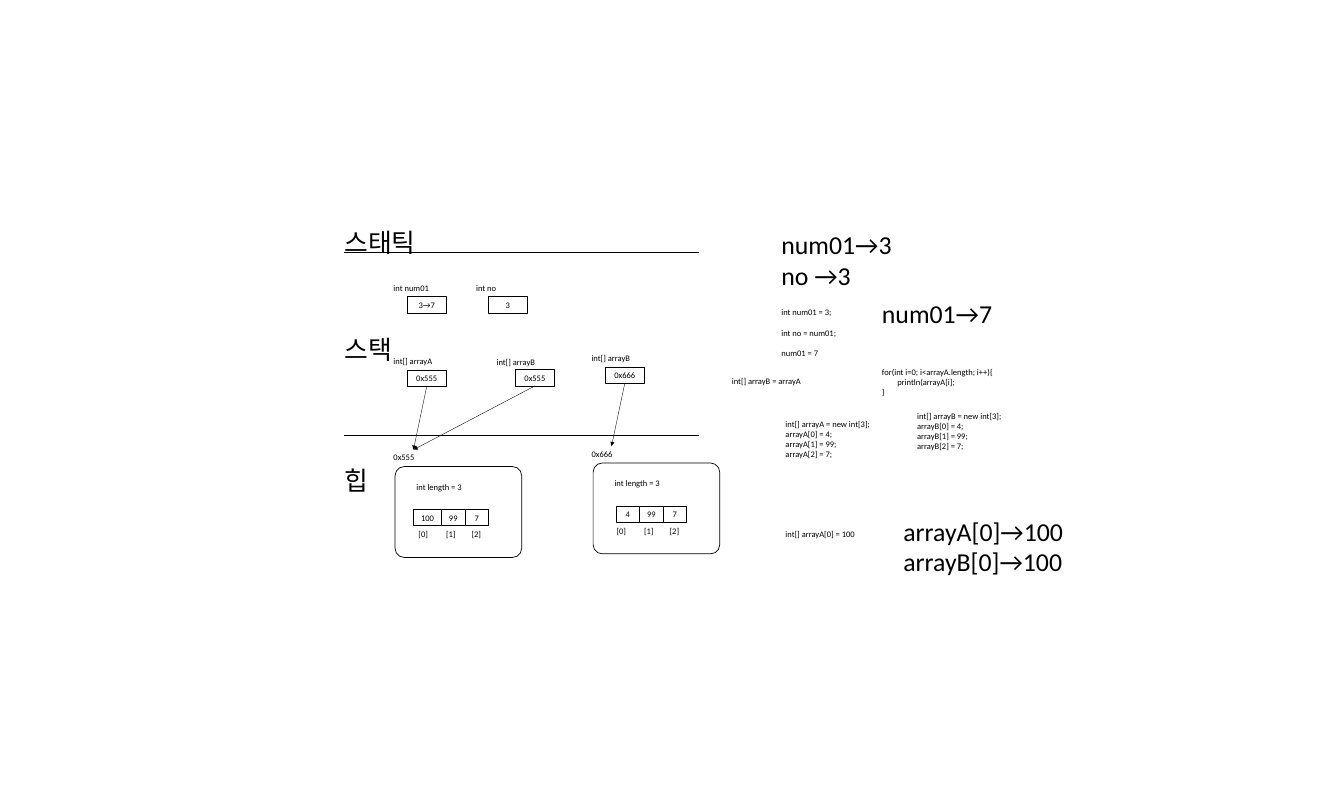
from dataclasses import dataclass

from pptx import Presentation
from pptx import util as u
from pptx.dml.color import RGBColor
from pptx.enum import shapes, text
from pptx.oxml.xmlchemy import OxmlElement

COLS, ROWS = 263.3, 157.7
CELL = u.Inches(0.1)


@dataclass(frozen=True)
class Theme:
    ink: RGBColor = RGBColor(0, 0, 0)
    font: str = "Calibri"
    code: float = 12
    large: float = 36.4
    thin: float = 0.5
    edge: float = 1


THEME = Theme()


def grid(*cells):
    return [u.Emu(round(c * CELL)) for c in cells]


def apply(target, formats):
    for name, value in formats.items():
        setattr(target, name, value)


def write(sp, lines, size, align=text.PP_ALIGN.LEFT, after=0, **frame):
    tf = sp.text_frame
    apply(tf, frame)
    for i, line in enumerate(lines):
        p = tf.paragraphs[0] if i == 0 else tf.add_paragraph()
        apply(p, {"alignment": align, "space_after": u.Pt(after)})
        r = p.add_run()
        r.text = line
        apply(r.font, {"name": THEME.font, "size": u.Pt(size)})
        r.font.color.rgb = THEME.ink
    return sp


def code(s, x, y, w, *lines, after=0):
    sp = s.shapes.add_textbox(*grid(x, y, w, 3))
    return write(sp, lines, THEME.code, after=after, word_wrap=True,
                 auto_size=text.MSO_AUTO_SIZE.SHAPE_TO_FIT_TEXT)


def large(sp, x, y, w, *lines):
    apply(sp, dict(zip(("left", "top", "width", "height"),
                       grid(x, y, w, 7.1 * len(lines)))))
    return write(sp, lines, THEME.large, word_wrap=False,
                 vertical_anchor=text.MSO_ANCHOR.TOP,
                 auto_size=text.MSO_AUTO_SIZE.SHAPE_TO_FIT_TEXT)


def large_box(s, x, y, w, *lines):
    return large(s.shapes.add_textbox(*grid(x, y, w, 7.1)), x, y, w, *lines)


def outline(s, kind, x, y, w, h):
    sp = s.shapes.add_shape(kind, *grid(x, y, w, h))
    sp.shadow.inherit = False
    sp.fill.background()
    sp.line.color.rgb = THEME.ink
    sp.line.width = u.Pt(THEME.edge)
    return sp


def value_box(s, x, y, w, value):
    sp = outline(s, shapes.MSO_SHAPE.RECTANGLE, x, y, w, 3.2)
    return write(sp, [value], THEME.code, text.PP_ALIGN.CENTER,
                 vertical_anchor=text.MSO_ANCHOR.MIDDLE)


def variable(s, x, y, w, name, value, dx=3.7, dy=3.2):
    code(s, x, y, w, name)
    return value_box(s, x + dx, y + dy, 7.6, value)


def line(s, x1=0, y1=0, x2=0, y2=0):
    cx = s.shapes.add_connector(shapes.MSO_CONNECTOR.STRAIGHT,
                                *grid(x1, y1, x2, y2))
    cx.line.color.rgb = THEME.ink
    cx.line.width = u.Pt(THEME.thin)
    cx._element.spPr.append(OxmlElement("a:effectLst"))
    return cx


def pointer(s, source, target):
    cx = line(s)
    cx.begin_connect(source, 2)
    cx.end_connect(target, 0)
    tail = OxmlElement("a:tailEnd")
    tail.set("type", "triangle")
    cx.line._get_or_add_ln().append(tail)


def heap_array(s, x, y, address, values, widths):
    label = code(s, x, y, 9.8, address)
    frame = outline(s, shapes.MSO_SHAPE.ROUNDED_RECTANGLE,
                    x + 1.3, y + 3.3, 24.8, 17.8)
    frame.adjustments[0] = 0.1
    code(s, x + 4.5, y + 5.8, 15.2, "int length = 3")
    left = x + 19.6 - sum(widths)
    for value, w in zip(values, widths):
        value_box(s, left, y + 11.7, w, value)
        left += w
    for i, dx in enumerate((4.9, 10.3, 15.3)):
        code(s, x + dx, y + 15.1, 5, f"[{i}]")
    return label


def draw_memory(s):
    large(s.shapes.title, 66.5, 43.9, 17.3, "스태틱")
    large_box(s, 66.5, 64.9, 12.2, "스택")
    large_box(s, 66.5, 90.6, 7.1, "힙")
    for y in (49.5, 85.3):
        line(s, 67.3, y, 136.9, y)

    variable(s, 76.1, 54.9, 9.8, "int num01", "3→7")
    variable(s, 92.3, 54.9, 19.7, "int no", "3", dx=3.4)
    array_a = variable(s, 76.1, 69.3, 15.2, "int[] arrayA", "0x555")
    alias_b = variable(s, 96.3, 69.5, 15.2, "int[] arrayB", "0x555", 4.7, 2.9)
    array_b = variable(s, 114.9, 68.7, 15.2, "int[] arrayB", "0x666")

    shared = heap_array(s, 76.1, 88.1, "0x555", ("100", "99", "7"), (5.5, 4.6, 4.6))
    separate = heap_array(s, 114.9, 87.4, "0x666", ("4", "99", "7"), (4.6,) * 3)
    for source, target in ((array_a, shared), (alias_b, shared), (array_b, separate)):
        pointer(s, source, target)


def draw_code(s):
    code(s, 152.1, 59.7, 21, "int num01 = 3;", "int no = num01;", "num01 = 7",
         after=14.6)
    loop = code(s, 171.8, 71.4, 29.4, "for(int i=0; i<arrayA.length; i++){",
                "println(arrayA[i];", "}")
    body = loop.text_frame.paragraphs[1]
    body._p.get_or_add_pPr().set("marL", str(u.Inches(0.3)))
    for x, y, name in ((152.9, 81.5, "arrayA"), (178.7, 80, "arrayB")):
        code(s, x, y, 21, f"int[] {name} = new int[3];",
             *(f"{name}[{i}] = {v};" for i, v in enumerate((4, 99, 7))))
    code(s, 142.4, 73.1, 21, "int[] arrayB = arrayA")
    code(s, 152.9, 103.2, 21, "int[] arrayA[0] = 100")

    large_box(s, 152.1, 44.4, 25.8, "num01→3", "no →3")
    large_box(s, 171.8, 57.9, 25.8, "num01→7")
    large_box(s, 176, 100.5, 37.9, "arrayA[0]→100")
    large_box(s, 176, 106.5, 37.5, "arrayB[0]→100")


def main():
    prs = Presentation()
    prs.slide_width, prs.slide_height = grid(COLS, ROWS)
    s = prs.slides.add_slide(prs.slide_layouts[5])
    draw_memory(s)
    draw_code(s)
    prs.save("out.pptx")


if __name__ == "__main__":
    main()
